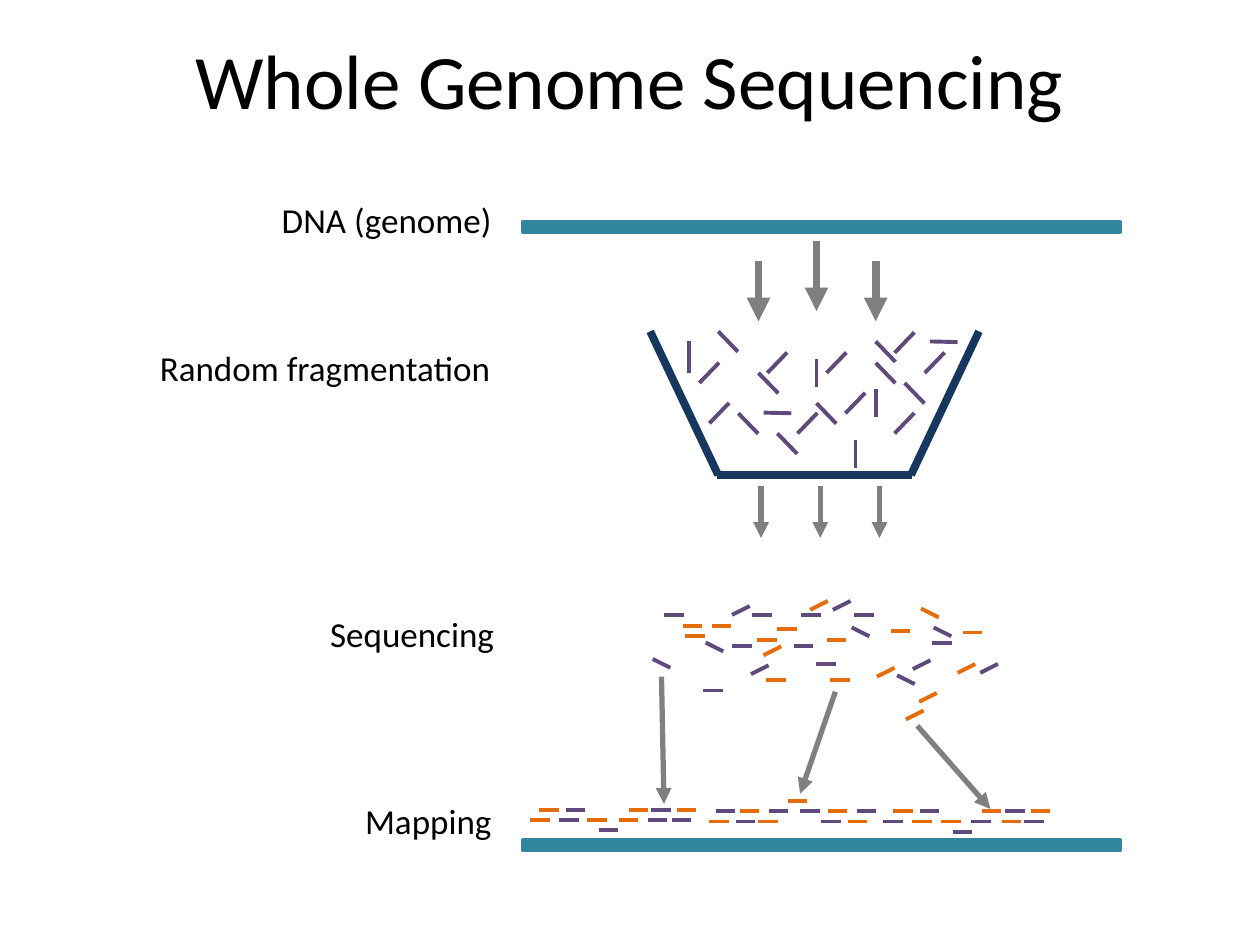
from dataclasses import dataclass

from lxml.etree import SubElement
from pptx import Presentation
from pptx.dml.color import RGBColor
from pptx.enum.shapes import MSO_CONNECTOR as Conn, MSO_SHAPE as Shape
from pptx.enum.text import MSO_ANCHOR as Anchor, MSO_AUTO_SIZE as AutoSize, PP_ALIGN as Align
from pptx.oxml.ns import qn
from pptx.util import Inches, Pt

COLS, ROWS = 100, 75
TEAL, NAVY, GREY, MID_GREY = "31859C", "17375E", "7F7F7F", "808080"
PURPLE, ORANGE, BLACK = "604A7B", "E46C0A", "000000"
READ = 1.55


@dataclass
class Label:
    text: str
    left: float
    top: float
    width: float
    height: float


@dataclass
class Line:
    x1: float
    y1: float
    x2: float
    y2: float
    color: str
    weight: float
    arrow: bool = False


@dataclass
class Fragments:
    color: str
    dx: float
    dy: float
    starts: list[tuple[float, float]]


@dataclass
class ReadRow:
    y: float
    orange: list[float]
    purple: list[float]


LABELS = [
    Label("DNA (genome)", 13.9, 15.3, 26.1, 4.4),
    Label("Random fragmentation", 4.3, 27, 35.6, 4.4),
    Label("Sequencing", 9, 48.1, 31.2, 4.4),
    Label("Mapping", 17.9, 63, 22.1, 4.4),
]

FUNNEL = [
    Line(51.6, 26.3, 57, 37.7, NAVY, 4.5),
    Line(77.7, 26.3, 72.3, 37.7, NAVY, 4.5),
    Line(56.9, 37.7, 72.4, 37.7, NAVY, 4.5),
]

ARROWS = [
    Line(64.8, 19.1, 64.8, 24.7, GREY, 4.5, True),
    *(Line(x, 20.7, x, 25.5, GREY, 4.5, True) for x in (60.2, 69.5)),
    *(Line(x, 38.6, x, 42.7, GREY, 3, True) for x in (60.4, 65.1, 69.8)),
    Line(52.5, 53.7, 52.7, 63.8, MID_GREY, 3, True),
    Line(66.3, 54.9, 63.5, 63, MID_GREY, 3, True),
    Line(72.8, 57.6, 78.6, 64.2, MID_GREY, 3, True),
]

FRAGMENTS = [
    Fragments(PURPLE, 1.57, 1.62, [
        (57, 26.3), (60.2, 29.6), (64.8, 32), (69.5, 28.8), (69.5, 27.1),
        (58.6, 32.8), (61.7, 34.4), (71.8, 30.4)]),
    Fragments(PURPLE, 1.57, -1.62, [
        (60.9, 29.6), (67.1, 32.8), (63.3, 34.4), (71, 28), (73.4, 29.6),
        (71, 34.4), (55.5, 30.4), (65.6, 29.6), (56.3, 33.6)]),
    Fragments(PURPLE, 0, 2.2, [(64.8, 28.5), (69.5, 30.9), (67.9, 34.95)]),
    Fragments(PURPLE, 0, 2.5, [(54.7, 27.1)]),
    Fragments(PURPLE, 2.2, 0.05, [(60.6, 32.75), (73.8, 27.1)]),
    Fragments(PURPLE, READ, 0, [
        (52.7, 48.8), (59.7, 48.8), (63.6, 48.8), (58.1, 51.3), (63, 51.3),
        (55.8, 54.8), (67.8, 48.8), (74, 51), (64.8, 52.7)]),
    Fragments(PURPLE, 1.4, -0.7, [
        (58.1, 48.8), (66.1, 48.4), (59.6, 53.5), (72.45, 53.1), (77.8, 53.4)]),
    Fragments(PURPLE, 1.4, 0.7, [
        (51.8, 52.3), (71.2, 53.6), (56, 51), (74.1, 49.8), (67.6, 49.8)]),
    Fragments(ORANGE, READ, 0, [
        (54.2, 49.7), (56.5, 49.7), (60.1, 50.8), (61.7, 49.9), (65.6, 50.8),
        (54.4, 50.5), (60.8, 54), (65.9, 54), (76.4, 50.2), (70.7, 50.1)]),
    Fragments(ORANGE, 1.4, -0.7, [
        (64.3, 48.4), (60.6, 52), (69.6, 53.7), (71.9, 57.1), (72.95, 55.7), (76, 53.4)]),
    Fragments(ORANGE, 1.4, 0.7, [(73.1, 48.3)]),
]

MAPPED_READS = [
    ReadRow(64.3, [42.8, 49.9, 53.7], [44.9, 51.7]),
    ReadRow(65.1, [42.1, 46.6, 49.1], [44.4, 51.4, 53.3]),
    ReadRow(65.9, [], [47.5]),
    ReadRow(63.6, [62.5], []),
    ReadRow(64.4, [58.7, 65.7, 70.9, 77.9, 81.8], [56.8, 61, 63.5, 68, 73, 79.8]),
    ReadRow(65.2, [56.3, 60.2, 67.3, 72.4, 74.7, 79.5], [58.4, 65.2, 70.1, 77.1, 81.3]),
    ReadRow(66, [], [75.6]),
]

prs = Presentation()
prs.slide_width, prs.slide_height = Inches(10), Inches(7.5)
slide = prs.slides.add_slide(prs.slide_layouts[5])


def rgb(color: str) -> RGBColor:
    return RGBColor.from_string(color)


def col(n: float) -> int:
    return round(prs.slide_width * n / COLS)


def row(n: float) -> int:
    return round(prs.slide_height * n / ROWS)


def set_font(p, size: float) -> None:
    p.font.name = "Calibri"
    p.font.size = Pt(size)
    p.font.color.rgb = rgb(BLACK)


def draw_title(text: str) -> None:
    sp = slide.shapes.title
    sp.left, sp.top, sp.width, sp.height = col(5), row(0), col(90), row(12.5)
    tf = sp.text_frame
    tf.text = text
    tf.vertical_anchor = Anchor.MIDDLE
    p = tf.paragraphs[0]
    p.alignment = Align.CENTER
    set_font(p, 44)


def draw_label(label: Label) -> None:
    sp = slide.shapes.add_textbox(
        col(label.left), row(label.top), col(label.width), row(label.height))
    tf = sp.text_frame
    tf.word_wrap = True
    tf.auto_size = AutoSize.SHAPE_TO_FIT_TEXT
    p = tf.paragraphs[0]
    p.text = label.text
    p.alignment = Align.RIGHT
    set_font(p, 20)


def draw_genome(top: float) -> None:
    sp = slide.shapes.add_shape(Shape.RECTANGLE, col(41.5), row(top), col(47.4), row(0.8))
    sp.shadow.inherit = False
    sp.fill.solid()
    sp.fill.fore_color.rgb = rgb(TEAL)
    sp.line.color.rgb = rgb(TEAL)
    sp.line.width = Pt(2.25)


def draw_line(line: Line) -> None:
    sp = slide.shapes.add_connector(
        Conn.STRAIGHT, col(line.x1), row(line.y1), col(line.x2), row(line.y2))
    sp.line.color.rgb = rgb(line.color)
    sp.line.width = Pt(line.weight)
    if line.arrow:
        SubElement(sp.line._get_or_add_ln(), qn("a:tailEnd"), type="triangle")
    SubElement(sp._element.spPr, qn("a:effectLst"))


def draw_fragments(group: Fragments) -> None:
    for x, y in group.starts:
        draw_line(Line(x, y, x + group.dx, y + group.dy, group.color, 2.25))


draw_title("Whole Genome Sequencing")
for label in LABELS:
    draw_label(label)
for top in (17.6, 66.7):
    draw_genome(top)
for line in FUNNEL:
    draw_line(line)
for group in FRAGMENTS:
    draw_fragments(group)
for reads in MAPPED_READS:
    for color, lefts in ((ORANGE, reads.orange), (PURPLE, reads.purple)):
        draw_fragments(Fragments(color, READ, 0, [(x, reads.y) for x in lefts]))
for line in ARROWS:
    draw_line(line)

prs.save("out.pptx")
